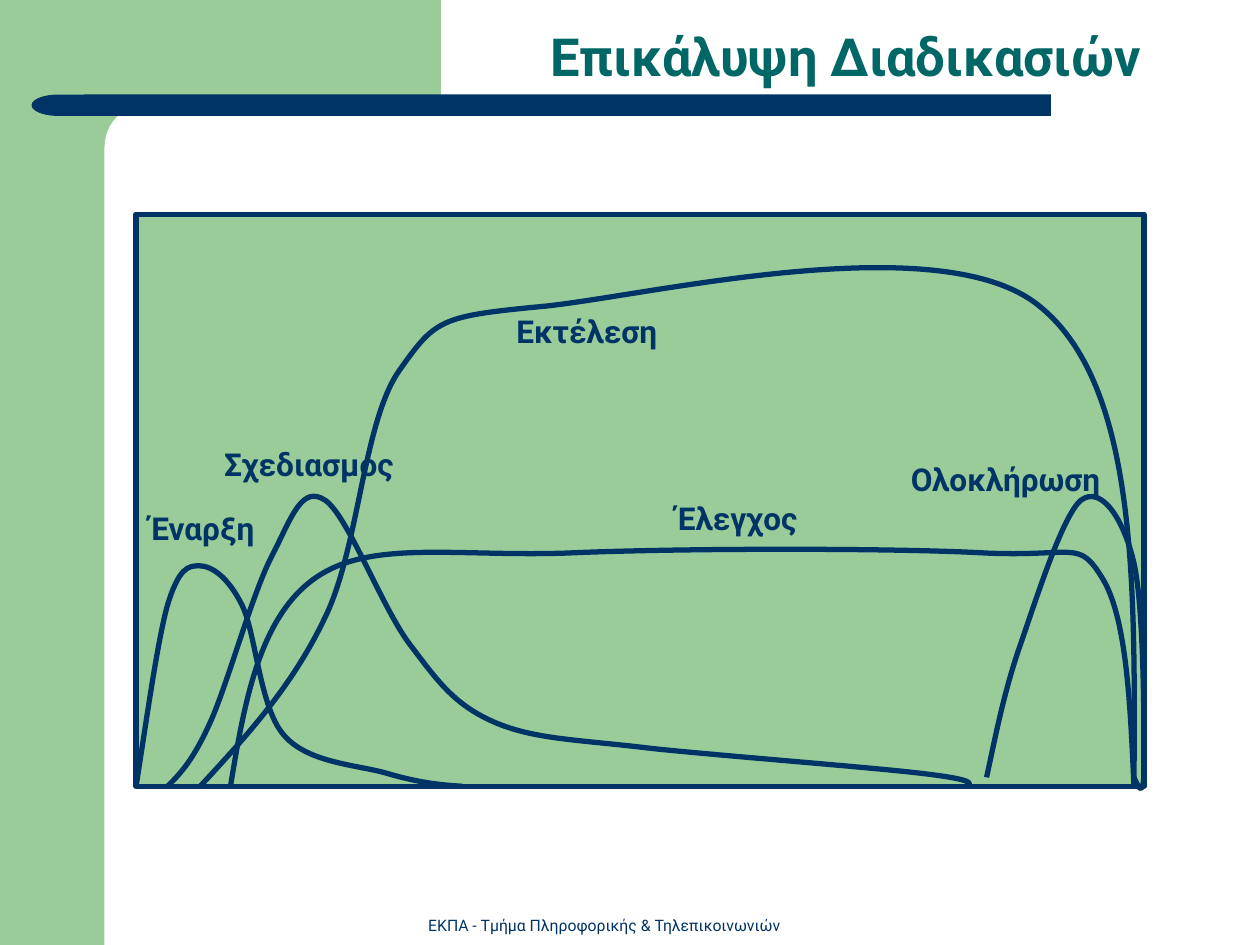
from pptx import Presentation
from pptx.dml.color import RGBColor
from pptx.enum.shapes import MSO_SHAPE
from pptx.enum.text import MSO_ANCHOR, MSO_AUTO_SIZE, PP_ALIGN
from pptx.oxml.ns import qn
from pptx.util import Inches, Pt
from lxml import etree

NAVY = RGBColor(0x00, 0x33, 0x66)
GREEN = RGBColor(0x99, 0xCC, 0x99)
TEAL = RGBColor(0x00, 0x66, 0x66)
WHITE = RGBColor(0xFF, 0xFF, 0xFF)
RECT = MSO_SHAPE.RECTANGLE
ROUNDED = MSO_SHAPE.ROUNDED_RECTANGLE
DELAY = MSO_SHAPE.FLOWCHART_DELAY
TOP, BOTTOM = MSO_ANCHOR.TOP, MSO_ANCHOR.BOTTOM
LEFT, CENTER, RIGHT = PP_ALIGN.LEFT, PP_ALIGN.CENTER, PP_ALIGN.RIGHT
NO_FIT, GROW = MSO_AUTO_SIZE.NONE, MSO_AUTO_SIZE.SHAPE_TO_FIT_TEXT

prs = Presentation()
prs.slide_width, prs.slide_height = Inches(10), Inches(7.5)
slide = prs.slides.add_slide(prs.slide_layouts[6])


def add_block(kind, box, color):
    block = slide.shapes.add_shape(kind, *map(Inches, box))
    block.shadow.inherit = False
    block.fill.solid()
    block.fill.fore_color.rgb = color
    block.line.fill.background()
    return block


def add_text(text, box, size, color, bold=False, align=LEFT, anchor=TOP,
             wrap=True, fit=GROW):
    frame = slide.shapes.add_textbox(*map(Inches, box)).text_frame
    frame.text = text
    frame.word_wrap = wrap
    frame.auto_size = fit
    frame.vertical_anchor = anchor
    paragraph = frame.paragraphs[0]
    paragraph.alignment = align
    font = paragraph.runs[0].font
    font.name, font.size, font.bold = "Roboto", Pt(size), bold
    font.color.rgb = color
    return paragraph


# Green side band and header, with the rounded white corner
add_block(RECT, (0, 0, 0.83, 7.5), GREEN)
add_block(RECT, (0.75, 0, 2.75, 1.17), GREEN)
corner = add_block(ROUNDED, (0.83, 0.83, 5.58, 0.67), WHITE)
corner.adjustments[0] = 0.5

# Navy bar with a rounded left end
bar = add_block(ROUNDED, (0.67, 0.75, 7.67, 0.17), NAVY)
bar.adjustments[0] = 0
bar_end = add_block(DELAY, (0.25, 0.75, 0.43, 0.17), NAVY)
bar_end.rotation = 180

# Footer and title
add_text("ΕΚΠΑ - Τμήμα Πληροφορικής & Τηλεπικοινωνιών",
         (3.21, 7.22, 3.17, 0.25), 9, NAVY, align=CENTER, anchor=BOTTOM)
title = add_text("Επικάλυψη Διαδικασιών", (0.33, 0.25, 8.83, 0.5), 30, TEAL,
                 bold=True, align=RIGHT, anchor=BOTTOM, fit=NO_FIT)
title.line_spacing = 0.9

# Diagram frame
diagram = add_block(RECT, (1.08, 1.7, 8, 4.54), GREEN)
diagram.line.color.rgb = NAVY
diagram.line.width = Pt(3)

# Process curves: a start point, then three Bezier points per segment
initiation = [
    (1.08, 6.24),
    (1.17, 5.67), (1.25, 5.09), (1.33, 4.8),
    (1.42, 4.51), (1.49, 4.49), (1.58, 4.49),
    (1.68, 4.49), (1.81, 4.58), (1.92, 4.8),
    (2.03, 5.02), (2.06, 5.61), (2.25, 5.83),
    (2.44, 6.06), (2.85, 6.07), (3.08, 6.14),
    (3.32, 6.21), (3.49, 6.23), (3.67, 6.24),
]
planning = [
    (1.33, 6.24),
    (1.43, 6.14), (1.53, 6.04), (1.67, 5.73),
    (1.81, 5.42), (2.01, 4.68), (2.17, 4.39),
    (2.32, 4.09), (2.4, 3.85), (2.58, 3.97),
    (2.76, 4.09), (3.03, 4.82), (3.25, 5.11),
    (3.47, 5.4), (3.6, 5.59), (3.92, 5.73),
    (4.24, 5.87), (4.6, 5.87), (5.17, 5.94),
    (5.74, 6), (6.92, 6.09), (7.33, 6.14),
    (7.75, 6.19), (7.71, 6.22), (7.67, 6.24),
]
execution = [
    (1.58, 6.25),
    (1.95, 5.85), (2.32, 5.45), (2.58, 4.9),
    (2.85, 4.35), (2.88, 3.35), (3.17, 2.94),
    (3.46, 2.53), (3.49, 2.51), (4.33, 2.43),
    (5.18, 2.34), (7.47, 1.79), (8.25, 2.43),
    (9.03, 3.06), (9.01, 4.65), (9, 6.25),
]
control = [
    (1.83, 6.24),
    (1.94, 5.57), (2.06, 4.9), (2.5, 4.59),
    (2.94, 4.28), (3.61, 4.42), (4.5, 4.39),
    (5.39, 4.35), (7.13, 4.35), (7.83, 4.39),
    (8.54, 4.42), (8.56, 4.28), (8.75, 4.59),
    (8.94, 4.9), (8.97, 5.57), (9, 6.24),
]
closing = [
    (7.83, 6.17),
    (7.9, 5.85), (7.96, 5.53), (8.08, 5.17),
    (8.21, 4.8), (8.43, 4.09), (8.58, 3.97),
    (8.74, 3.85), (8.92, 4.12), (9, 4.47),
    (9.08, 4.82), (9.08, 5.78), (9.08, 6.07),
    (9.08, 6.35), (9.04, 6.26), (9, 6.17),
]
for process in (initiation, planning, execution, control, closing):
    points = [(Inches(x), Inches(y)) for x, y in process]
    builder = slide.shapes.build_freeform(*points[0])
    builder.add_line_segments(points[1:], close=False)
    curve = builder.convert_to_shape()
    curve.shadow.inherit = False
    curve.fill.background()
    curve.line.color.rgb = NAVY
    curve.line.width = Pt(3)
    # Merge each three line steps into one cubic Bezier
    steps = list(curve.element.iter(qn("a:lnTo")))
    for i in range(0, len(steps), 3):
        bezier = etree.Element(qn("a:cubicBezTo"))
        steps[i].addprevious(bezier)
        for step in steps[i:i + 3]:
            bezier.append(step[0])
            step.getparent().remove(step)

# Process labels
for label, box, wrap in (
    ("Έναρξη", (1.09, 3.99, 1.12, 0.4), False),
    ("Σχεδιασμός", (1.68, 3.48, 1.66, 0.4), False),
    ("Εκτέλεση", (4, 2.43, 1.39, 0.4), False),
    ("Έλεγχος", (5.27, 3.91, 1.23, 0.4), False),
    ("Ολοκλήρωση", (7.13, 3.6, 1.89, 0.4), True),
):
    add_text(label, box, 18, NAVY, bold=True, wrap=wrap)

prs.save("out.pptx")
